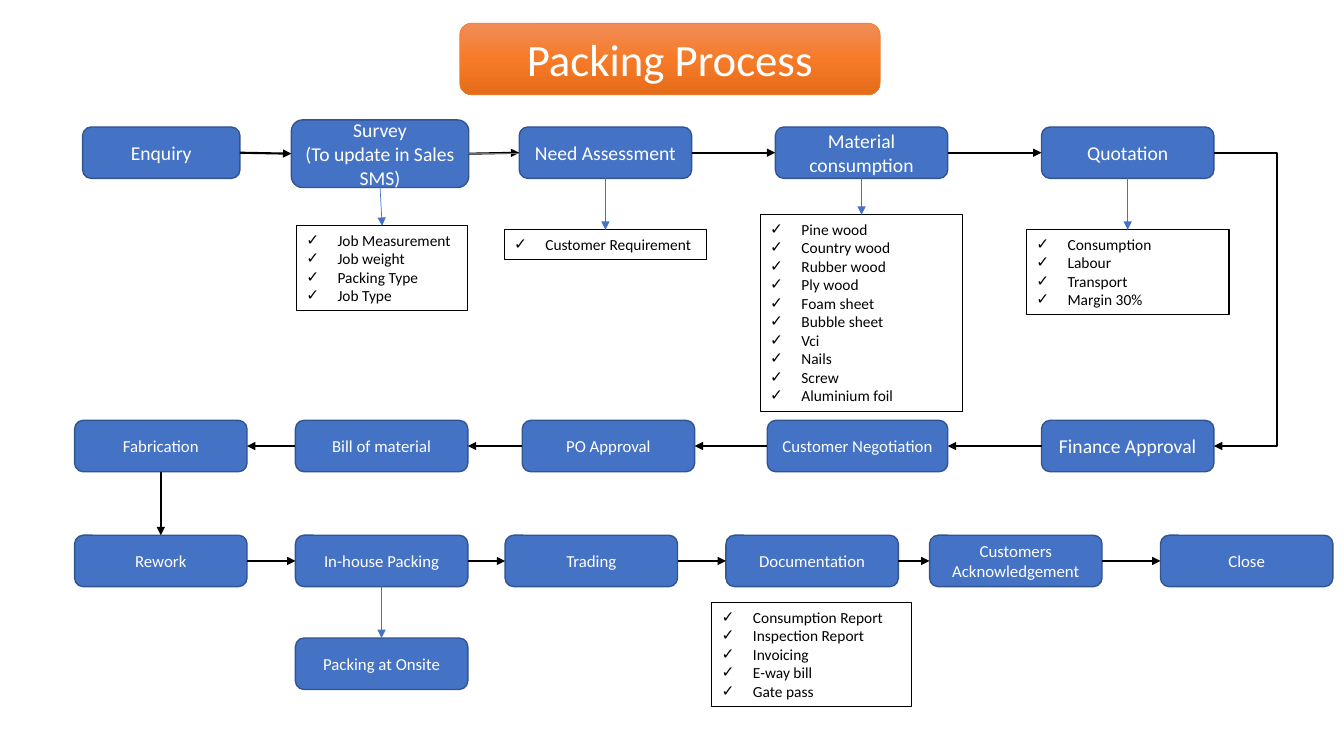
from copy import deepcopy
from dataclasses import dataclass

from lxml import etree
from pptx import Presentation
from pptx.dml.color import RGBColor
from pptx.enum.shapes import MSO_CONNECTOR, MSO_SHAPE
from pptx.enum.text import MSO_ANCHOR, MSO_AUTO_SIZE, PP_ALIGN
from pptx.oxml.ns import qn
from pptx.util import Inches, Pt

ROUNDED = MSO_SHAPE.ROUNDED_RECTANGLE
STRAIGHT = MSO_CONNECTOR.STRAIGHT
TOP, LEFT, BOTTOM, RIGHT = range(4)  # connection sites of a box


@dataclass(frozen=True)
class Theme:
    font: str = "Calibri"
    blue: str = "4472C4"
    blue_edge: str = "325491"
    orange_edge: str = "ED7D31"
    title_fill: tuple = ((0, "F18C57"), (0.5, "F67B28"), (1, "E56C19"))
    black: str = "000000"
    white: str = "FFFFFF"
    title_size: int = 32
    large: int = 14
    normal: int = 12
    list_size: int = 11


THEME = Theme()
STEP_W, STEP_H = 1.71, 0.51

# Steps: text, left, width, type size
ENQUIRY_ROW = [
    ("Enquiry", 0.82, 1.56, THEME.large),
    ("Survey\n(To update in Sales SMS)", 2.89, 1.76, THEME.large),
    ("Need Assessment", 5.15, STEP_W, THEME.large),
    ("Material consumption", 7.69, STEP_W, THEME.large),
    ("Quotation", 10.33, STEP_W, THEME.large),
]
APPROVAL_ROW = [
    ("Finance Approval", 10.33, STEP_W, THEME.large),
    ("Customer Negotiation", 7.61, 1.79, THEME.normal),
    ("PO Approval", 5.18, STEP_W, THEME.normal),
    ("Bill of material", 2.93, STEP_W, THEME.normal),
    ("Fabrication", 0.74, STEP_W, THEME.normal),
]
PACKING_ROW = [
    (text, left, STEP_W, THEME.normal)
    for text, left in [
        ("Rework", 0.74), ("In-house Packing", 2.93), ("Trading", 5.01),
        ("Documentation", 7.2), ("Customers Acknowledgement", 9.22), ("Close", 11.51),
    ]
]

# Checklists under the enquiry row: step, place, items
STEP_LISTS = [
    (1, (2.94, 2.24, 1.7, 0.84),
     ["Job Measurement", "Job weight", "Packing Type", "Job Type"]),
    (2, (5, 2.28, 2.01, 0.29), ["Customer Requirement"]),
    (3, (7.54, 2.13, 2.01, 1.95),
     ["Pine wood", "Country wood", "Rubber wood", "Ply wood", "Foam sheet",
      "Bubble sheet", "Vci", "Nails", "Screw", "Aluminium foil"]),
    (4, (10.18, 2.28, 2.01, 0.84),
     ["Consumption", "Labour", "Transport", "Margin 30%"]),
]
DOCUMENT_LIST = ["Consumption Report", "Inspection Report", "Invoicing",
                 "E-way bill", "Gate pass"]


def rgb(value):
    return RGBColor.from_string(value)


def set_line(line, color, width):
    line.color.rgb = rgb(color)
    line.width = Pt(width)


def add_arrowhead(line):
    etree.SubElement(line._get_or_add_ln(), qn("a:tailEnd"), type="triangle")


def write(tf, text, size, color, align):
    tf.word_wrap = True
    tf.text = text
    for p in tf.paragraphs:
        p.alignment = align
        for r in p.runs:
            r.font.name = THEME.font
            r.font.size = Pt(size)
            r.font.color.rgb = rgb(color)


def add_box(slide, text, box, size, edge, edge_width):
    sp = slide.shapes.add_shape(ROUNDED, *map(Inches, box))
    sp.shadow.inherit = False
    set_line(sp.line, edge, edge_width)
    write(sp.text_frame, text, size, THEME.white, PP_ALIGN.CENTER)
    return sp


def add_step(slide, text, left, top, width, size):
    sp = add_box(slide, text, (left, top, width, STEP_H), size, THEME.blue_edge, 1)
    sp.fill.solid()
    sp.fill.fore_color.rgb = rgb(THEME.blue)
    sp.text_frame.vertical_anchor = MSO_ANCHOR.MIDDLE
    return sp


def add_title(slide, text):
    sp = add_box(slide, text, (4.56, 0.23, 4.17, 0.71), THEME.title_size,
                 THEME.orange_edge, 0.5)
    sp.text_frame.vertical_anchor = MSO_ANCHOR.TOP
    sp.fill.gradient()
    sp.fill.gradient_angle = 270
    # The default gradient has two stops; add a middle one
    stops = sp.fill._fill._gradFill.find(qn("a:gsLst"))
    stops.insert(1, deepcopy(stops[0]))
    for stop, (position, color) in zip(sp.fill.gradient_stops, THEME.title_fill):
        stop.position = position
        stop.color.rgb = rgb(color)


def add_checklist(slide, box, items):
    sp = slide.shapes.add_textbox(*map(Inches, box))
    set_line(sp.line, THEME.black, 0.75)
    tf = sp.text_frame
    write(tf, "\n".join(items), THEME.list_size, THEME.black, PP_ALIGN.LEFT)
    tf.auto_size = MSO_AUTO_SIZE.SHAPE_TO_FIT_TEXT
    for p in tf.paragraphs:
        pPr = p._p.get_or_add_pPr()
        pPr.set("marL", str(Inches(0.31)))
        pPr.set("indent", str(-Inches(0.31)))
        etree.SubElement(pPr, qn("a:buFont"), typeface=THEME.font)
        etree.SubElement(pPr, qn("a:buChar"), char="✓")
    return sp


def add_arrow(slide, color, width, points=(0, 0, 0, 0)):
    con = slide.shapes.add_connector(STRAIGHT, *map(Inches, points))
    set_line(con.line, color, width)
    add_arrowhead(con.line)
    etree.SubElement(con._element.spPr, qn("a:effectLst"))
    return con


def link(slide, start, start_site, end, end_site, color=THEME.black, width=1.5):
    con = add_arrow(slide, color, width)
    con.begin_connect(start, start_site)
    con.end_connect(end, end_site)


def link_down(slide, start, end):
    link(slide, start, BOTTOM, end, TOP, THEME.blue, 0.5)


def link_row(slide, steps, start_site, end_site):
    for start, end in zip(steps, steps[1:]):
        link(slide, start, start_site, end, end_site)


def link_around(slide, start, end):
    """Arrow that leaves and enters on the right, round the outside."""
    start_x, end_x = start.left + start.width, end.left + end.width
    start_y, end_y = (sp.top + sp.height // 2 for sp in (start, end))
    bend_x = Inches(12.67)
    route = slide.shapes.build_freeform(start_x, start_y)
    route.add_line_segments(
        [(bend_x, start_y), (bend_x, end_y), (end_x, end_y)], close=False)
    sp = route.convert_to_shape()
    sp.shadow.inherit = False
    sp.fill.background()
    set_line(sp.line, THEME.black, 1.5)
    add_arrowhead(sp.line)


def add_row(slide, row, top):
    return [add_step(slide, text, left, top, width, size)
            for text, left, width, size in row]


def main():
    prs = Presentation()
    prs.slide_width, prs.slide_height = Inches(13.33), Inches(7.5)
    slide = prs.slides.add_slide(prs.slide_layouts[6])

    add_title(slide, "Packing Process")

    # Three rows of steps; the survey box is taller
    enquiry = add_row(slide, ENQUIRY_ROW, 1.26)
    survey = enquiry[1]
    survey.top, survey.height = Inches(1.19), Inches(0.67)
    approval = add_row(slide, APPROVAL_ROW, 4.17)
    packing = add_row(slide, PACKING_ROW, 5.31)
    onsite = add_step(slide, "Packing at Onsite", 2.93, 6.33, STEP_W, THEME.normal)

    # Flow along and between the rows
    link_row(slide, enquiry, RIGHT, LEFT)
    link_row(slide, approval, LEFT, RIGHT)
    link_row(slide, packing, RIGHT, LEFT)
    add_arrow(slide, THEME.blue, 0.5, (4.56, 1.52, 5.28, 1.52))
    link_around(slide, enquiry[-1], approval[0])
    link(slide, approval[-1], BOTTOM, packing[0], TOP)
    link_down(slide, packing[1], onsite)

    # Checklists
    for step, box, items in STEP_LISTS:
        link_down(slide, enquiry[step], add_checklist(slide, box, items))
    add_checklist(slide, (7.06, 5.98, 1.98, 1.03), DOCUMENT_LIST)

    prs.save("out.pptx")


if __name__ == "__main__":
    main()
